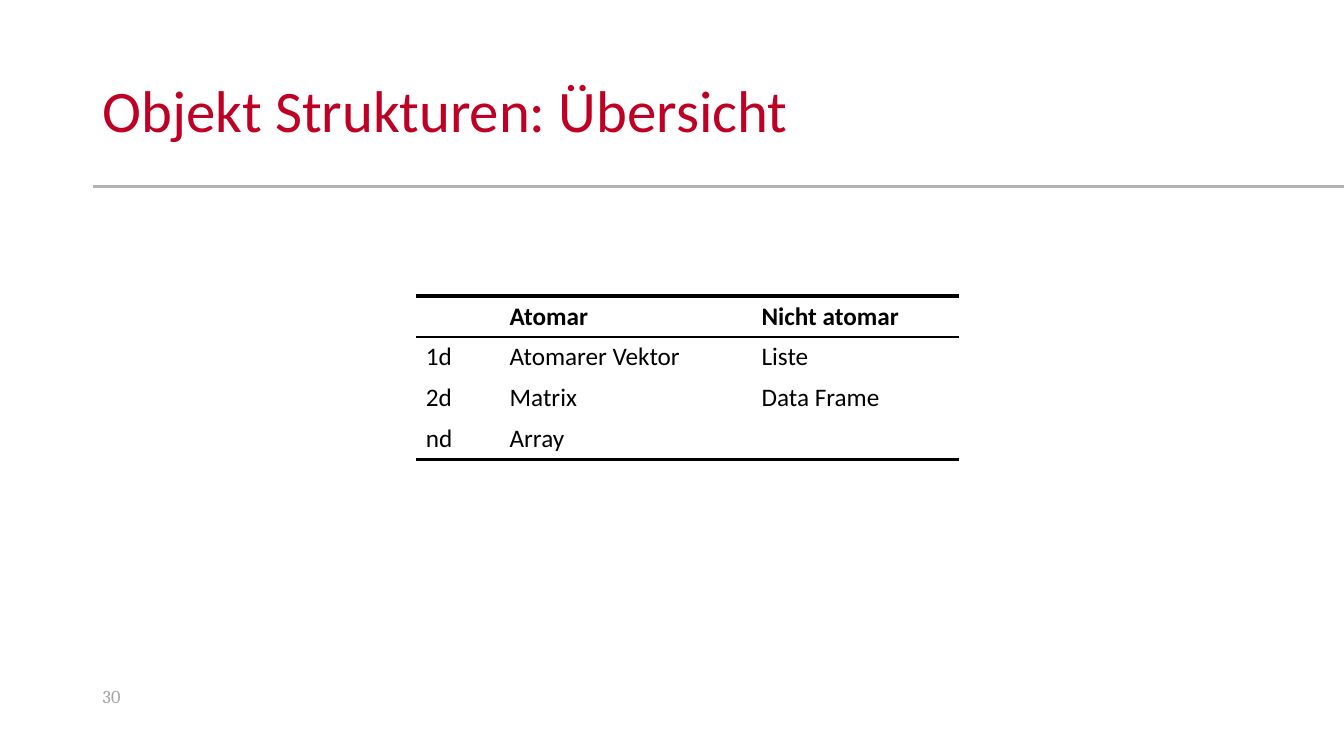
from dataclasses import dataclass

from lxml.etree import SubElement
from pptx import Presentation
from pptx.dml.color import RGBColor as Color
from pptx.enum.shapes import MSO_CONNECTOR as Connector
from pptx.enum.text import MSO_ANCHOR as Anchor
from pptx.oxml.ns import qn
from pptx.util import Cm, Pt


@dataclass(frozen=True)
class Theme:
    """Colours, fonts and type sizes of the slide."""
    title_color: Color = Color.from_string("BF0025")
    rule_color: Color = Color.from_string("B2B3B5")
    text_color: Color = Color.from_string("000000")
    number_color: Color = Color.from_string("A5A5A5")
    body_font: str = "Calibri"
    number_font: str = "Cambria"
    title_size: int = 42
    table_size: int = 18
    number_size: int = 13
    title_rule: float = 1.5
    thick_rule: float = 3
    thin_rule: float = 1


THEME = Theme()
SLIDE_WIDTH, SLIDE_HEIGHT = 33.87, 19.05
MARGIN = 2.34
COLUMN_WIDTHS = (2.11, 6.35, 5.24)
ROWS = (
    ("", "Atomar", "Nicht atomar"),
    ("1d", "Atomarer Vektor", "Liste"),
    ("2d", "Matrix", "Data Frame"),
    ("nd", "Array", ""),
)


def format_runs(paragraph, font_name, size, color, bold=False):
    """Apply one character format to every run of a paragraph."""
    for run in paragraph.runs:
        run.font.name = font_name
        run.font.size = Pt(size)
        run.font.color.rgb = color
        run.font.bold = bold


def add_text(slide, box, text, font_name, size, color, anchor=Anchor.TOP):
    """Add a wrapped text box and return its paragraph."""
    text_frame = slide.shapes.add_textbox(*map(Cm, box)).text_frame
    text_frame.word_wrap = True
    text_frame.vertical_anchor = anchor
    text_frame.text = text
    paragraph = text_frame.paragraphs[0]
    format_runs(paragraph, font_name, size, color)
    return paragraph


def add_header(slide, box, title):
    """Place the title in the box and a rule from its foot to the slide edge."""
    left, top, _, height = box
    paragraph = add_text(slide, box, title, THEME.body_font, THEME.title_size,
                         THEME.title_color, Anchor.MIDDLE)
    paragraph.line_spacing = 0.9
    foot = Cm(top + height)
    rule = slide.shapes.add_connector(
        Connector.STRAIGHT, Cm(left), foot, Cm(SLIDE_WIDTH), foot)
    rule.line.color.rgb = THEME.rule_color
    rule.line.width = Pt(THEME.title_rule)
    SubElement(rule._element.spPr, qn("a:effectLst"))


def set_borders(cell, top, bottom):
    """Draw the top and bottom cell borders; a width of 0 hides one."""
    properties = cell._tc.get_or_add_tcPr()
    for side, width in (("L", 0), ("R", 0), ("T", top), ("B", bottom)):
        line = SubElement(properties, qn(f"a:ln{side}"), w=str(Pt(width)))
        if width:
            fill = SubElement(line, qn("a:solidFill"))
            SubElement(fill, qn("a:srgbClr"), val=str(THEME.text_color))
        else:
            SubElement(line, qn("a:noFill"))


def add_structure_table(slide, box):
    """Fill the box with the table of object structures."""
    table = slide.shapes.add_table(
        len(ROWS), len(COLUMN_WIDTHS), *map(Cm, box)).table
    table.first_row = table.horz_banding = False
    for column, width in zip(table.columns, COLUMN_WIDTHS):
        column.width = Cm(width)

    # Widths of the horizontal rules, from above the header to the table foot
    rules = [THEME.thick_rule, THEME.thin_rule, 0, 0, THEME.thick_rule]
    for row_index, texts in enumerate(ROWS):
        for column_index, text in enumerate(texts):
            cell = table.cell(row_index, column_index)
            set_borders(cell, *rules[row_index:row_index + 2])
            cell.fill.background()
            if text:
                cell.text_frame.text = text
                format_runs(cell.text_frame.paragraphs[0], THEME.body_font,
                            THEME.table_size, THEME.text_color,
                            bold=row_index == 0)


def add_page_number(slide, box, number):
    """Place the page number in the box."""
    add_text(slide, box, number, THEME.number_font, THEME.number_size,
             THEME.number_color)


def main():
    """Build and save the presentation."""
    presentation = Presentation()
    presentation.slide_width = Cm(SLIDE_WIDTH)
    presentation.slide_height = Cm(SLIDE_HEIGHT)
    slide = presentation.slides.add_slide(presentation.slide_layouts[6])
    add_header(slide, (MARGIN, 1.02, 29.21, 3.68), "Objekt Strukturen: Übersicht")
    add_structure_table(slide, (10.48, 7.46, sum(COLUMN_WIDTHS), 4.12))
    add_page_number(slide, (MARGIN, 17.15, 7.62, 1.02), "30")
    presentation.save("out.pptx")


main()
